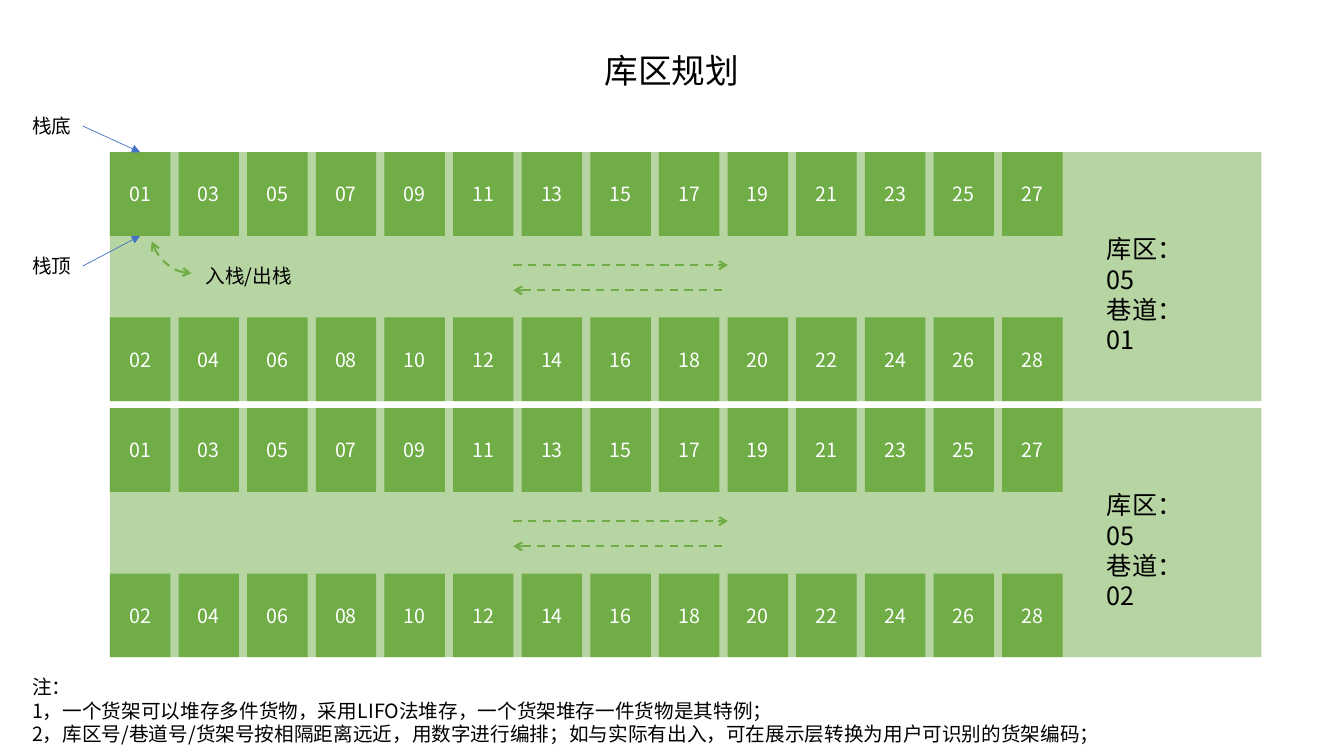
"""Build the warehouse zone planning slide."""
from lxml.etree import SubElement
from pptx import Presentation
from pptx.dml.color import RGBColor
from pptx.enum.dml import MSO_LINE
from pptx.enum.shapes import MSO_CONNECTOR, MSO_SHAPE
from pptx.enum.text import MSO_ANCHOR, PP_ALIGN
from pptx.oxml.ns import qn
from pptx.util import Inches, Pt

FONT = "Noto Sans CJK SC"
GREEN, BLUE, WHITE, BLACK = "70AD47", "4472C4", "FFFFFF", "000000"
TITLE = "库区规划"
AISLES = [(1.51, ["库区：05", "巷道：01"]), (4.05, ["库区：05", "巷道：02"])]
LEFT, AISLE_W, AISLE_H = 1.09, 11.42, 2.47
RACKS, RACK_W, RACK_H = 14, 0.6, 0.83
PITCH = 8.85 / (RACKS - 1)
LANE = (5.09, 7.22)
LABELS = [
    ((0.22, 1.08, 0.59, 0.34), ["栈底"], False),
    ((0.22, 2.47, 0.59, 0.34), ["栈顶"], False),
    ((1.94, 2.57, 1.16, 0.34), ["入栈/出栈"], True),
    ((0.22, 6.65, 12, 0.81), [
        "注：",
        "1，一个货架可以堆存多件货物，采用LIFO法堆存，一个货架堆存一件货物是其特例；",
        "2，库区号/巷道号/货架号按相隔距离远近，用数字进行编排；如与实际有出入，可在展示层转换为用户可识别的货架编码；",
    ], True),
]
POINTERS = [((0.82, 1.25), (1.39, 1.51)), ((0.82, 2.64), (1.39, 2.34))]


def rgb(color):
    return RGBColor.from_string(color)


def box(values):
    return [Inches(v) for v in values]


def write(tf, lines, size, color=BLACK, align=PP_ALIGN.LEFT):
    for i, line in enumerate(lines):
        p = tf.paragraphs[0] if i == 0 else tf.add_paragraph()
        p.alignment = align
        r = p.add_run()
        r.text = line
        for key, value in {"name": FONT, "size": Pt(size), "bold": False}.items():
            setattr(r.font, key, value)
        r.font.color.rgb = rgb(color)
        SubElement(r.font._element, qn("a:ea"), typeface=FONT)


def add_text(at, lines, size, wrap=True):
    tf = s.shapes.add_textbox(*box(at)).text_frame
    tf.word_wrap = wrap
    write(tf, lines, size)


def add_rect(at, alpha=None):
    sp = s.shapes.add_shape(MSO_SHAPE.RECTANGLE, *box(at))
    sp.shadow.inherit = False
    sp.fill.solid()
    sp.fill.fore_color.rgb = rgb(GREEN)
    sp.line.fill.background()
    if alpha:
        clr = sp._element.spPr.find(qn("a:solidFill"))[0]
        SubElement(clr, qn("a:alpha"), val=str(alpha * 1000))
    return sp


def style_line(sp, color, width, dash=None, **ends):
    sp.line.color.rgb = rgb(color)
    sp.line.width = Pt(width)
    if dash:
        sp.line.dash_style = dash
    for end, kind in ends.items():
        SubElement(sp.line._get_or_add_ln(), qn(f"a:{end}"), type=kind)


def add_arrow(start, end, *style, **ends):
    c = s.shapes.add_connector(MSO_CONNECTOR.STRAIGHT, *box(start + end))
    style_line(c, *style, **ends)
    SubElement(c._element.spPr, qn("a:effectLst"))


prs = Presentation()
prs.slide_width, prs.slide_height = Inches(13.33), Inches(7.5)
s = prs.slides.add_slide(prs.slide_layouts[5])

title = s.shapes.title
for key, value in zip(("left", "top", "width", "height"), box((0, 0.44, 13.33, 0.5))):
    setattr(title, key, value)
title.text_frame.vertical_anchor = MSO_ANCHOR.TOP
write(title.text_frame, [TITLE], 24, align=PP_ALIGN.CENTER)

dashed = (GREEN, 1.5, MSO_LINE.DASH)
for top, label in AISLES:
    add_rect((LEFT, top, AISLE_W, AISLE_H), alpha=50)
    for n in range(RACKS * 2):
        col, row = divmod(n, 2)
        rack = add_rect((LEFT + col * PITCH, top + row * (AISLE_H - RACK_H), RACK_W, RACK_H))
        write(rack.text_frame, [f"{n + 1:02d}"], 14, WHITE, PP_ALIGN.CENTER)
    add_text((10.88, top + 0.76, 1.2, 0.71), label, 18)
    for dy, end in ((1.12, "tailEnd"), (1.37, "headEnd")):
        add_arrow((LANE[0], top + dy), (LANE[1], top + dy), *dashed, **{end: "arrow"})

for start, end in POINTERS:
    add_arrow(start, end, BLUE, 0.5, tailEnd="triangle")
for at, lines, wrap in LABELS:
    add_text(at, lines, 14, wrap)

arc = s.shapes.add_shape(MSO_SHAPE.ARC, *box((1.48, 1.75, 0.84, 0.96)))
arc.shadow.inherit = False
arc.fill.background()
for i, degrees in enumerate((90, 157)):
    arc.adjustments[i] = degrees * 0.6
style_line(arc, *dashed, headEnd="arrow", tailEnd="arrow")

prs.save("out.pptx")
